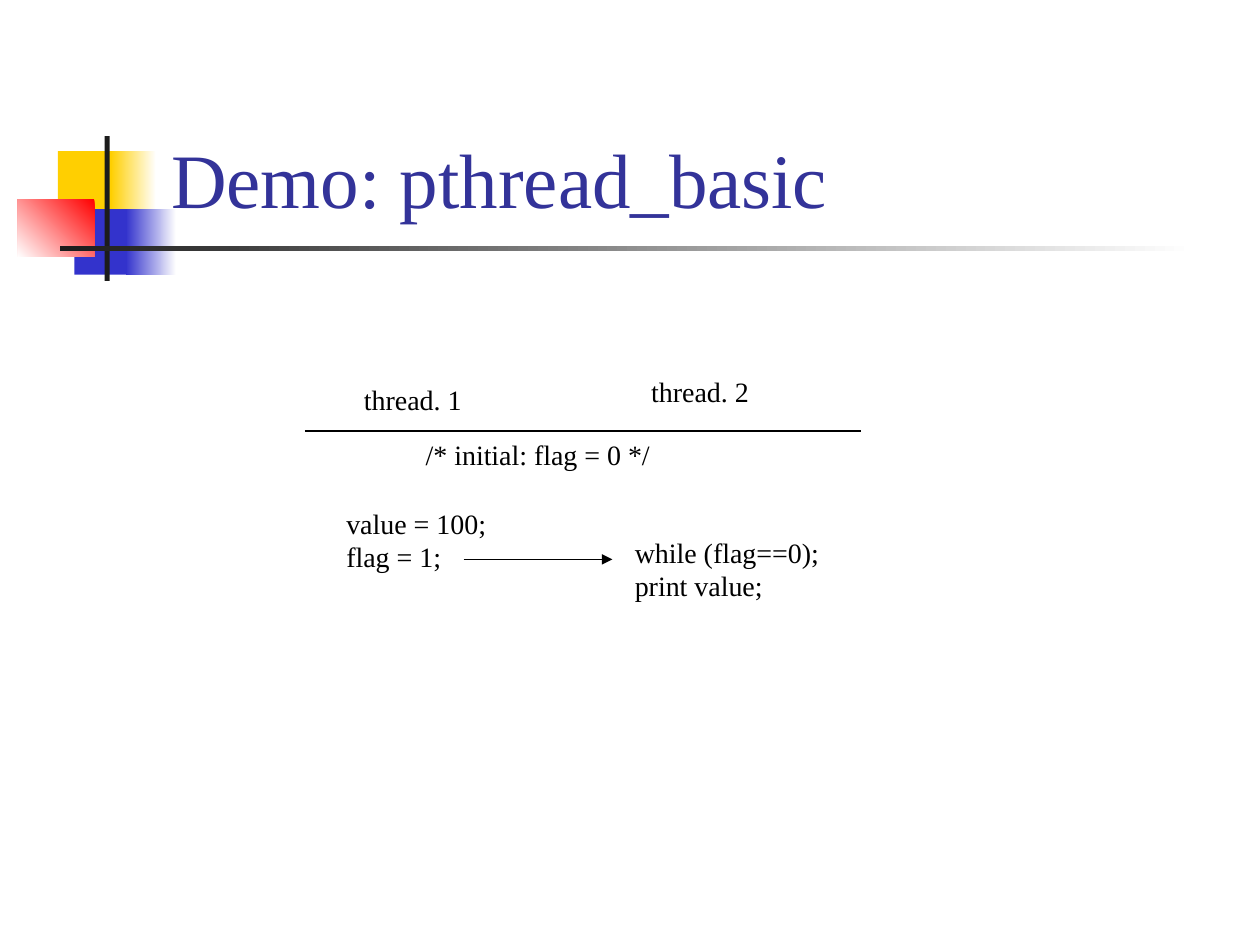
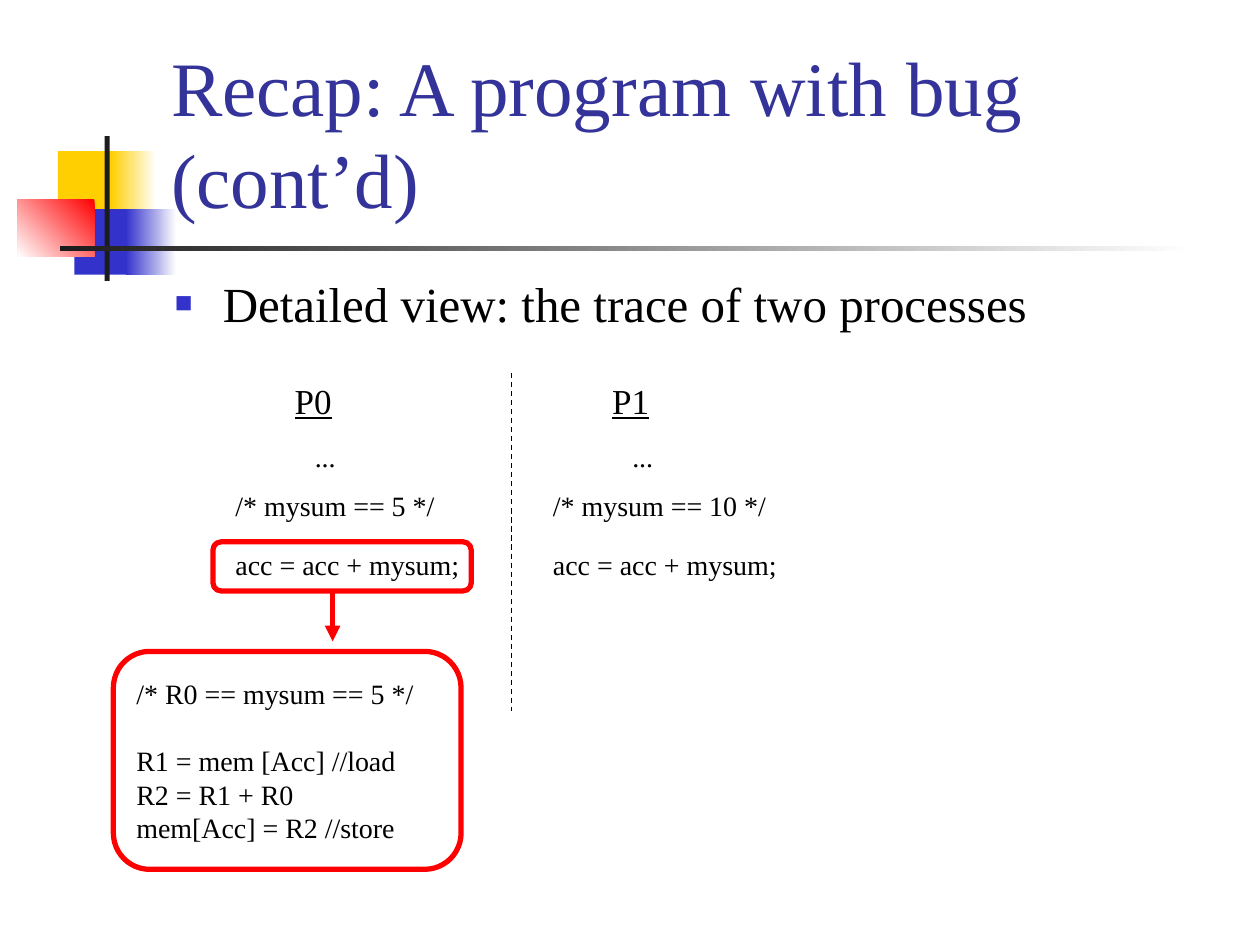
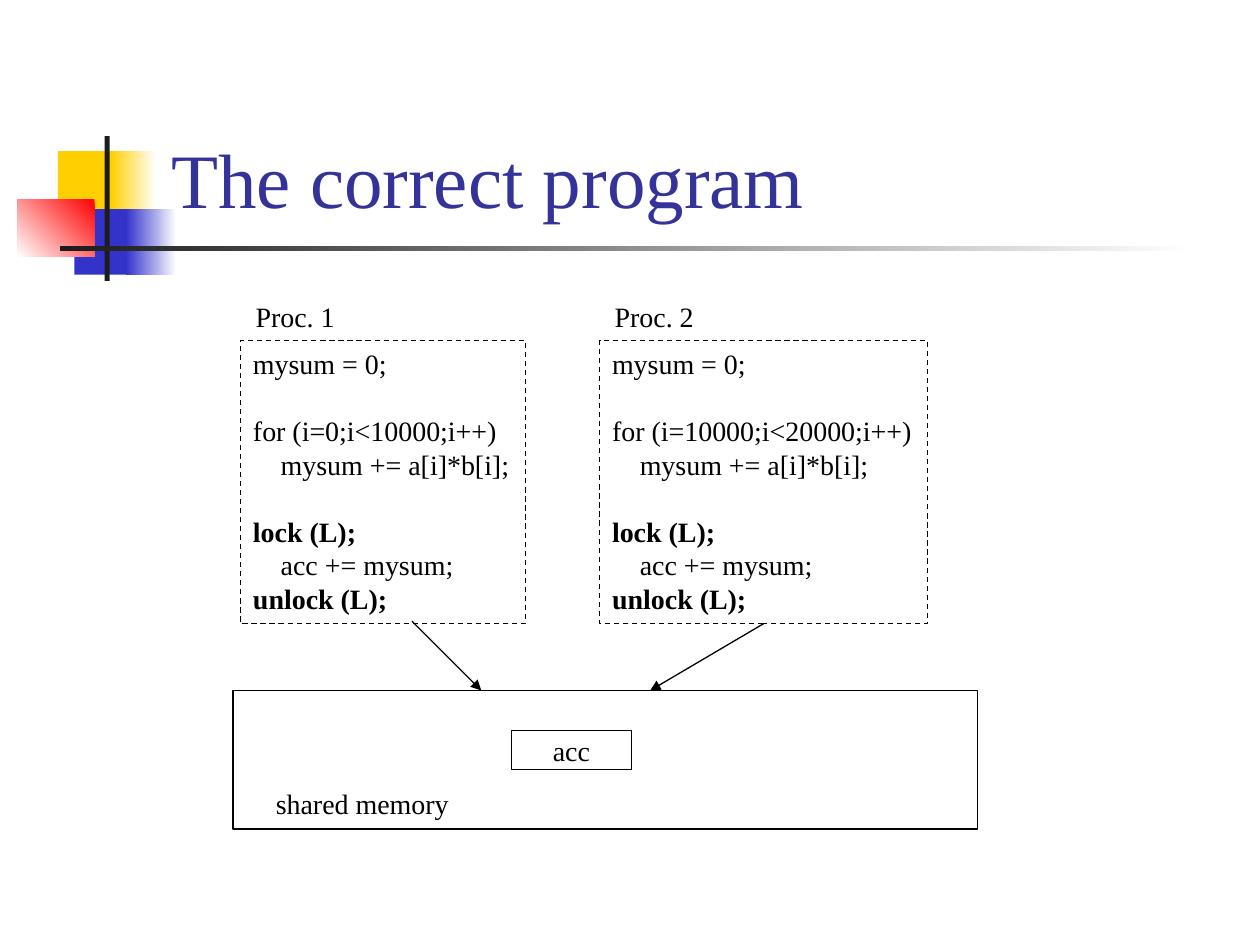
import dataclasses

import pptx
import pptx.dml.color
import pptx.enum.dml
import pptx.enum.shapes
import pptx.enum.text
import pptx.oxml
import pptx.oxml.ns
import pptx.util
from pptx.util import Inches

RGBColor = pptx.dml.color.RGBColor
BLACK = RGBColor(0x00, 0x00, 0x00)
WHITE = RGBColor(0xFF, 0xFF, 0xFF)
CHARCOAL = RGBColor(0x1C, 0x1C, 0x1C)
YELLOW = RGBColor(0xFF, 0xCF, 0x01)
BLUE = RGBColor(0x33, 0x33, 0xCC)
RED = RGBColor(0xFF, 0x00, 0x00)
TITLE_BLUE = RGBColor(0x33, 0x33, 0x99)

FONT = "Times New Roman"
LINE_PITCH = 1.2
CODE_INDENT = 0.22

RECT = pptx.enum.shapes.MSO_SHAPE.RECTANGLE
ROUNDED = pptx.enum.shapes.MSO_SHAPE.ROUNDED_RECTANGLE
DASH = pptx.enum.dml.MSO_LINE.DASH
ALIGN = pptx.enum.text.PP_ALIGN
ANCHOR = pptx.enum.text.MSO_ANCHOR
AUTO_SIZE = pptx.enum.text.MSO_AUTO_SIZE
BOTTOM_SIDE = 2


@dataclasses.dataclass
class CodeLine:
    text: str
    bold: bool = False
    indented: bool = False
    gap_before: bool = False


def write_text(frame, lines, size=16, color=BLACK, align=ALIGN.LEFT,
               anchor=ANCHOR.TOP, wrap=False, grow=True, underline=False):
    """Fill a text frame with strings or CodeLines, one paragraph each."""
    frame.word_wrap = wrap
    frame.auto_size = AUTO_SIZE.SHAPE_TO_FIT_TEXT if grow else AUTO_SIZE.NONE
    frame.vertical_anchor = anchor
    pitch = pptx.util.Pt(size * LINE_PITCH)
    for index, line in enumerate(lines):
        if isinstance(line, str):
            line = CodeLine(line)
        paragraph = frame.add_paragraph() if index else frame.paragraphs[0]
        paragraph.alignment = align
        paragraph.line_spacing = pitch
        if line.gap_before:
            paragraph.space_before = pitch
        if line.indented:
            paragraph._p.get_or_add_pPr().set("marL", str(Inches(CODE_INDENT)))
        run = paragraph.add_run()
        run.text = line.text
        run.font.name = FONT
        run.font.size = pptx.util.Pt(size)
        run.font.color.rgb = color
        run.font.bold = line.bold
        run.font.underline = underline


def add_label(slide, left, top, width, height, *lines, **text_format):
    label = slide.shapes.add_textbox(
        Inches(left), Inches(top), Inches(width), Inches(height))
    write_text(label.text_frame, lines, **text_format)
    return label


def add_panel(slide, left, top, width, height, kind=RECT):
    """Add a shape without fill, line or shadow."""
    panel = slide.shapes.add_shape(
        kind, Inches(left), Inches(top), Inches(width), Inches(height))
    panel.shadow.inherit = False
    panel.fill.background()
    panel.line.fill.background()
    return panel


def add_frame(slide, left, top, width, height, color=BLACK, weight=0.75,
              dash=None, kind=RECT):
    frame = add_panel(slide, left, top, width, height, kind)
    style_line(frame.line, color, weight, dash)
    return frame


def style_line(line, color, weight, dash):
    line.color.rgb = color
    line.width = pptx.util.Pt(weight)
    if dash:
        line.dash_style = dash


def add_line(slide, start, end, color=BLACK, weight=0.75, dash=None, arrow=False):
    line = slide.shapes.add_connector(
        pptx.enum.shapes.MSO_CONNECTOR.STRAIGHT,
        Inches(start[0]), Inches(start[1]), Inches(end[0]), Inches(end[1]))
    style_line(line.line, color, weight, dash)
    namespace = pptx.oxml.ns.nsdecls("a")
    if arrow:
        head = pptx.oxml.parse_xml(f'<a:tailEnd {namespace} type="triangle"/>')
        line.line._get_or_add_ln().append(head)
    line._element.spPr.append(pptx.oxml.parse_xml(f'<a:effectLst {namespace}/>'))
    return line


def add_solid(slide, color, *bounds):
    panel = add_panel(slide, *bounds)
    panel.fill.solid()
    panel.fill.fore_color.rgb = color


def add_fade(slide, first, last, angle, *bounds):
    """Add a two-colour gradient; the angle runs counter-clockwise."""
    panel = add_panel(slide, *bounds)
    panel.fill.gradient()
    panel.fill.gradient_angle = angle
    for stop, color in zip(panel.fill.gradient_stops, (first, last)):
        stop.color.rgb = color


def add_titled_slide(deck, title):
    """Add a slide with the shared emblem, rule and title."""
    slide = deck.slides.add_slide(deck.slide_layouts[6])
    add_solid(slide, YELLOW, 0.46, 1.2, 0.48, 0.52)
    add_fade(slide, WHITE, YELLOW, 180, 0.88, 1.2, 0.36, 0.52)
    add_solid(slide, BLUE, 0.59, 1.66, 0.46, 0.52)
    add_fade(slide, WHITE, BLUE, 180, 1, 1.66, 0.4, 0.52)
    add_fade(slide, RED, WHITE, 225, 0.14, 1.58, 0.61, 0.46)
    add_solid(slide, CHARCOAL, 0.83, 1.08, 0.04, 1.15)
    add_fade(slide, WHITE, CHARCOAL, 180, 0.48, 1.95, 9, 0.04)
    add_label(slide, 1.26, 0.23, 8.52, 1.6, title, size=44, color=TITLE_BLUE,
              anchor=ANCHOR.BOTTOM, wrap=True, grow=False)
    return slide


def add_bullet(slide, text):
    body = add_label(slide, 1.29, 2.21, 8.5, 0.52, text, size=28, wrap=True,
                     grow=False)
    paragraph = body.text_frame.paragraphs[0]
    paragraph.line_spacing = 0.8
    paragraph.space_before = pptx.util.Pt(5.6)
    properties = paragraph._p.get_or_add_pPr()
    properties.set("marL", str(Inches(0.38)))
    properties.set("indent", str(Inches(-0.38)))
    namespace = pptx.oxml.ns.nsdecls("a")
    for xml in (f'<a:buClr {namespace}><a:srgbClr val="{BLUE}"/></a:buClr>',
                f'<a:buSzPct {namespace} val="60000"/>',
                f'<a:buFont {namespace} typeface="{FONT}"/>',
                f'<a:buChar {namespace} char="■"/>'):
        properties.append(pptx.oxml.parse_xml(xml))


def build_thread_demo(deck):
    slide = add_titled_slide(deck, "Demo: pthread_basic")
    add_label(slide, 2.65, 3.97, 1.32, 0.64, "value = 100;", "flag = 1;", wrap=True)
    add_label(slide, 4.94, 4.2, 1.67, 0.64, "while (flag==0);", "print value;")
    add_line(slide, (2.42, 3.42), (6.83, 3.42))
    add_label(slide, 2.79, 2.99, 0.98, 0.37, "thread. 1")
    add_label(slide, 5.07, 2.92, 0.98, 0.37, "thread. 2")
    add_label(slide, 3.28, 3.42, 1.99, 0.37, "/* initial: flag = 0 */")
    add_line(slide, (3.68, 4.44), (4.86, 4.44), arrow=True)


def add_trace(slide, left, process, comment, comment_width):
    add_label(slide, left + 0.47, 2.96, 0.54, 0.43, process, size=20, underline=True)
    add_label(slide, left, 3.83, comment_width, 0.37, comment)
    add_label(slide, left, 4.3, 1.99, 0.37, "acc = acc + mysum;")
    add_label(slide, left + 0.63, 3.44, 0.37, 0.37, "...")


def build_bug_recap(deck):
    slide = add_titled_slide(deck, "Recap: A program with bug (cont’d)")
    add_bullet(slide, "Detailed view: the trace of two processes")
    add_line(slide, (4.06, 2.96), (4.06, 5.64), dash=DASH)
    add_trace(slide, 1.77, "P0", "/* mysum == 5 */", 1.79)
    add_trace(slide, 4.29, "P1", "/* mysum == 10 */", 1.9)

    highlight = {"color": RED, "weight": 3}
    instructions = add_frame(slide, 0.9, 5.17, 2.76, 1.73, kind=ROUNDED, **highlight)
    write_text(instructions.text_frame, [
        "/* R0 == mysum == 5 */",
        CodeLine("R1 = mem [Acc] //load", gap_before=True),
        "R2 = R1 + R0",
        "mem[Acc] = R2 //store",
    ], anchor=ANCHOR.MIDDLE, grow=False)
    add_frame(slide, 1.69, 4.3, 2.05, 0.39, kind=ROUNDED, **highlight)
    add_line(slide, (2.64, 4.69), (2.64, 5.09), arrow=True, **highlight)


def add_process(slide, left, width, name, loop):
    process = add_frame(slide, left, 2.7, width, 2.25, dash=DASH)
    write_text(process.text_frame, [
        "mysum = 0;",
        CodeLine(loop, gap_before=True),
        CodeLine("mysum += a[i]*b[i];", indented=True),
        CodeLine("lock (L);", bold=True, gap_before=True),
        CodeLine("acc += mysum;", indented=True),
        CodeLine("unlock (L);", bold=True),
    ])
    add_label(slide, left + 0.02, 2.33, 0.83, 0.37, name)
    return process


def build_correct_program(deck):
    slide = add_titled_slide(deck, "The correct program")
    add_process(slide, 1.91, 2.26, "Proc. 1", "for (i=0;i<10000;i++)")
    second = add_process(slide, 4.76, 2.6, "Proc. 2", "for (i=10000;i<20000;i++)")
    add_frame(slide, 1.85, 5.48, 5.91, 1.1)
    add_label(slide, 2.09, 6.19, 1.58, 0.37, "shared memory")
    accumulator = add_frame(slide, 4.06, 5.8, 0.95, 0.31)
    write_text(accumulator.text_frame, ["acc"], align=ALIGN.CENTER,
               anchor=ANCHOR.MIDDLE, grow=False)
    add_line(slide, (3.27, 4.93), (3.82, 5.48), arrow=True)
    second_update = add_line(slide, (6.06, 4.95), (5.16, 5.48), arrow=True)
    second_update.begin_connect(second, BOTTOM_SIDE)


def main():
    deck = pptx.Presentation()
    deck.slide_width = Inches(10)
    deck.slide_height = Inches(7.5)
    build_thread_demo(deck)
    build_bug_recap(deck)
    build_correct_program(deck)
    deck.save("out.pptx")


if __name__ == "__main__":
    main()
